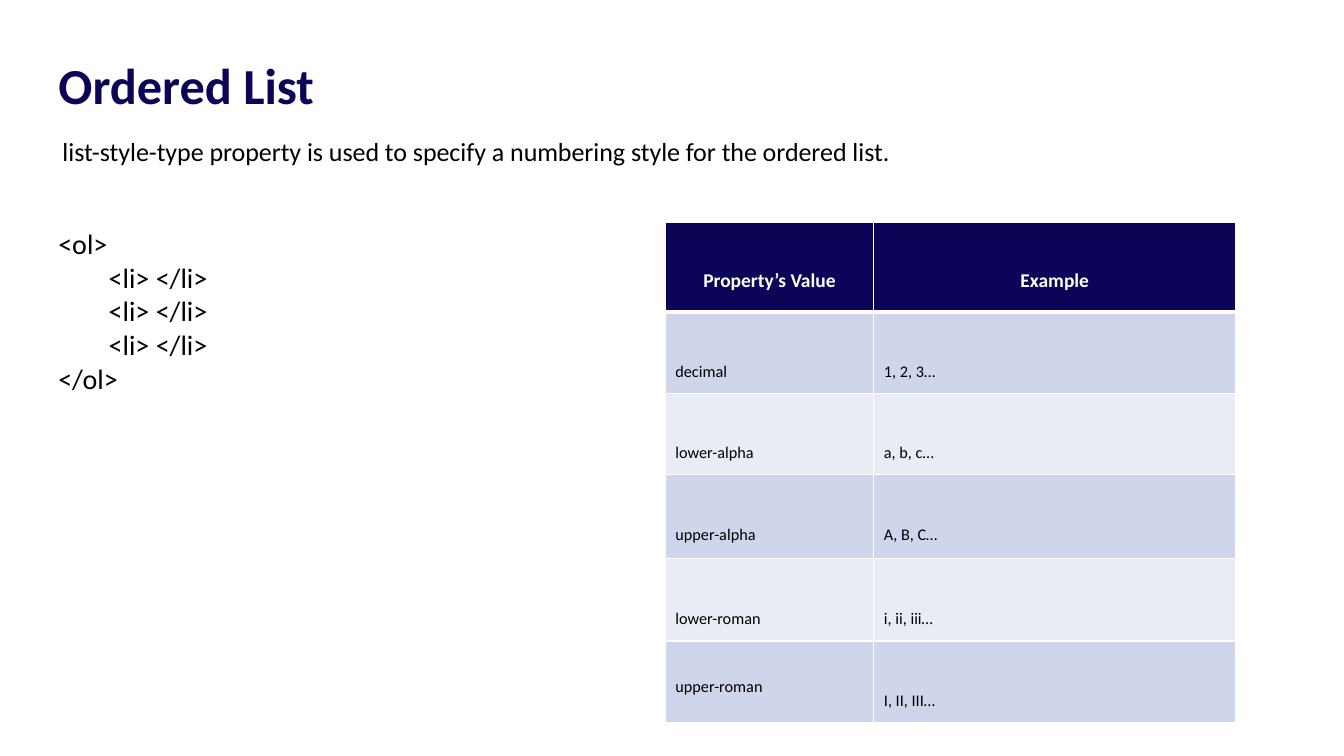
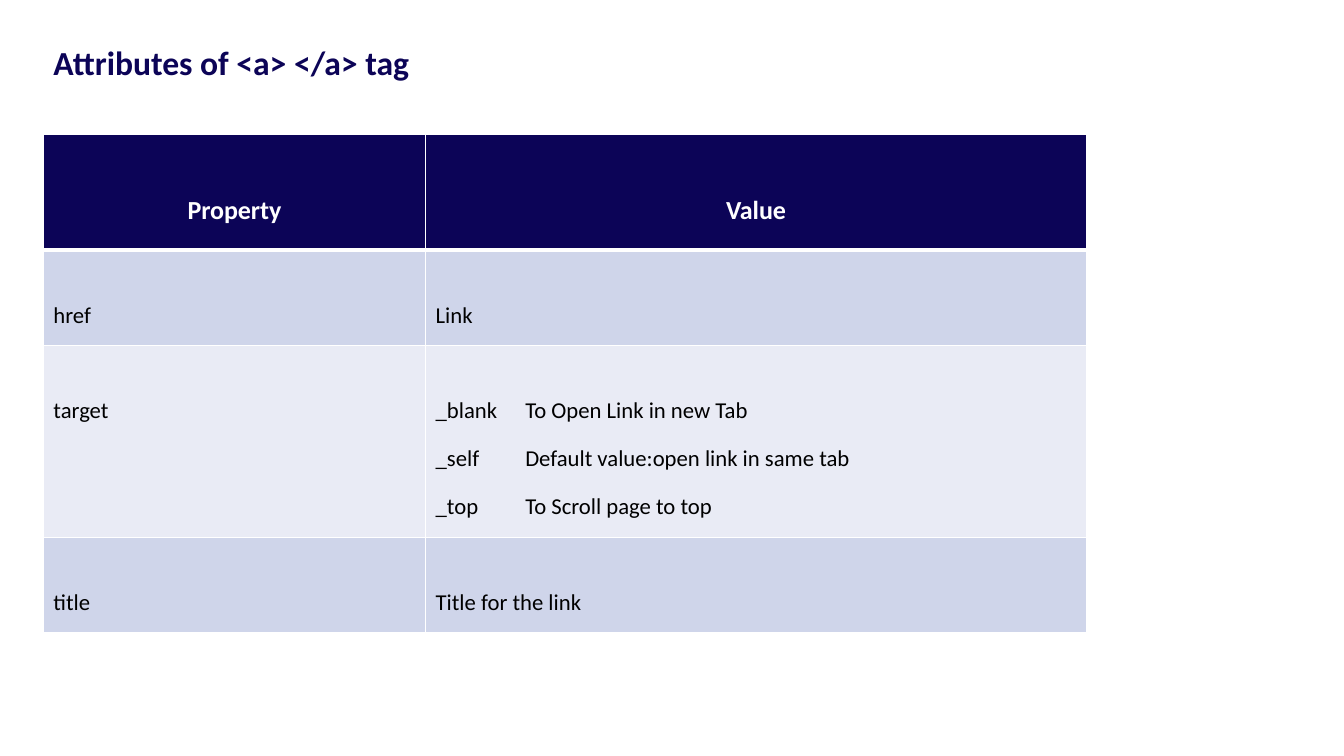
"""Builds two slides on HTML lists and link attributes."""
from dataclasses import dataclass

from lxml.etree import SubElement
from pptx import Presentation
from pptx.dml.color import RGBColor as Color
from pptx.enum.text import MSO_ANCHOR as Anchor
from pptx.enum.text import MSO_AUTO_SIZE as AutoSize
from pptx.enum.text import PP_ALIGN as Align
from pptx.oxml.ns import qn
from pptx.util import Pt


@dataclass(frozen=True)
class Theme:
    font: str = "Calibri"
    navy: Color = Color(0x0C, 0x04, 0x57)
    black: Color = Color(0, 0, 0)
    white: Color = Color(255, 255, 255)
    bands: tuple = (Color(0xCF, 0xD5, 0xEA), Color(0xE9, 0xEB, 0xF5))
    heading: int = 36
    subheading: int = 24
    code: int = 20
    note: int = 32
    raised: int = 30000
    cell_gap: int = 34
    thin: int = 1
    thick: int = 3


THEME = Theme()


def apply(target, values):
    for name, value in values.items():
        setattr(target, name, value)


def place(shape, box):
    apply(shape, dict(zip(("left", "top", "width", "height"), map(Pt, box))))


def write(frame, lines, size, color, bold=False, align=Align.LEFT, baseline=0):
    for index, line in enumerate(lines):
        paragraph = frame.paragraphs[0] if index == 0 else frame.add_paragraph()
        paragraph.alignment = align
        run = paragraph.add_run()
        run.text = line
        apply(run.font, {"name": THEME.font, "size": Pt(size), "bold": bold})
        run.font.color.rgb = color
        if baseline:
            run.font._element.set("baseline", str(baseline))


def add_titled_slide(presentation, title, box, size):
    slide = presentation.slides.add_slide(presentation.slide_layouts[5])
    shape = slide.shapes.title
    place(shape, box)
    apply(shape.text_frame, {"word_wrap": True, "auto_size": AutoSize.NONE,
                             "vertical_anchor": Anchor.TOP})
    write(shape.text_frame, [title], size, THEME.navy, bold=True)
    return slide


def add_text(slide, box, lines, size, left_inset=7.2, **format_values):
    frame = slide.shapes.add_textbox(*map(Pt, box)).text_frame
    apply(frame, {"word_wrap": True, "margin_left": Pt(left_inset)})
    write(frame, lines, size, THEME.black, **format_values)


def add_borders(cell, top, bottom):
    properties = cell._tc.get_or_add_tcPr()
    widths = {"lnL": THEME.thin, "lnR": THEME.thin, "lnT": top, "lnB": bottom}
    for side, width in widths.items():
        line = SubElement(properties, qn(f"a:{side}"), w=str(Pt(width)))
        fill = SubElement(line, qn("a:solidFill"))
        SubElement(fill, qn("a:srgbClr"), val=str(THEME.white))


def add_tab_stop(paragraph, position):
    stops = SubElement(paragraph._p.get_or_add_pPr(), qn("a:tabLst"))
    SubElement(stops, qn("a:tab"), pos=str(Pt(position)), algn="l")


def fill_header(cell, text, size):
    add_borders(cell, THEME.thin, THEME.thick)
    cell.fill.solid()
    cell.fill.fore_color.rgb = THEME.navy
    cell.vertical_anchor = Anchor.BOTTOM
    write(cell.text_frame, [text], size, THEME.white, bold=True,
          align=Align.CENTER, baseline=THEME.raised)


def fill_body(cell, text, size, row, column, gap):
    add_borders(cell, THEME.thick if row == 1 else THEME.thin, THEME.thin)
    cell.fill.solid()
    cell.fill.fore_color.rgb = THEME.bands[(row - 1) % 2]
    apply(cell, {"margin_top": Pt(gap), "margin_bottom": 0,
                 "vertical_anchor": Anchor.TOP})
    write(cell.text_frame, text.split("\n"), size, THEME.black,
          align=Align.JUSTIFY if column else Align.LEFT, baseline=THEME.raised)
    for paragraph in cell.text_frame.paragraphs:
        if "\t" in paragraph.text:
            add_tab_stop(paragraph, 64)


def add_property_table(slide, corner, widths, heights, rows, sizes, gaps=None):
    header_size, body_size = sizes
    table = slide.shapes.add_table(
        len(rows), len(widths), *map(Pt, (*corner, sum(widths), sum(heights)))
    ).table
    for column, width in zip(table.columns, widths):
        column.width = Pt(width)
    for row, height in zip(table.rows, heights):
        row.height = Pt(height)
    for row, texts in enumerate(rows):
        for column, text in enumerate(texts):
            cell = table.cell(row, column)
            if row == 0:
                fill_header(cell, text, header_size)
            else:
                gap = (gaps or {}).get((row, column), THEME.cell_gap)
                fill_body(cell, text, body_size, row, column, gap)


def build_ordered_list(presentation):
    slide = add_titled_slide(presentation, "Ordered List",
                             (34.56, 35.28, 882, 51), THEME.heading)
    add_text(slide, (34.56, 158.4, 480, 128),
             ["<ol>", *["\t<li> </li>"] * 3, "</ol>"], THEME.code)
    add_property_table(
        slide, (475.2, 158.8), (149, 258.5), (64, 58, 58, 60, 59, 57),
        [("Property’s Value", "Example"),
         ("decimal", "1, 2, 3…"),
         ("lower-alpha", "a, b, c…"),
         ("upper-alpha", "A, B, C…"),
         ("lower-roman", "i, ii, iii…"),
         ("upper-roman", "I, II, III…")],
        (24, 20), gaps={(5, 0): 24})
    add_text(slide, (23, 89.3, 893, 33),
             ["list-style-type property is used to specify a numbering style "
              "for the ordered list."],
             THEME.note, left_inset=21.6, align=Align.JUSTIFY,
             baseline=THEME.raised)


def build_link_attributes(presentation):
    slide = add_titled_slide(presentation, "Attributes of <a> </a> tag",
                             (31, 26.64, 857.5, 36), THEME.subheading)
    add_property_table(
        slide, (31, 95.8), (273, 472), (83, 68, 134, 68),
        [("Property", "Value"),
         ("href", "Link"),
         ("target", "_blank\tTo Open Link in new Tab\n"
                    "_self\tDefault value:open link in same tab\n"
                    "_top\tTo Scroll page to top"),
         ("title", "Title for the link")],
        (32, 28))


def main():
    presentation = Presentation()
    apply(presentation, {"slide_width": Pt(960), "slide_height": Pt(540)})
    build_ordered_list(presentation)
    build_link_attributes(presentation)
    presentation.save("out.pptx")


main()
